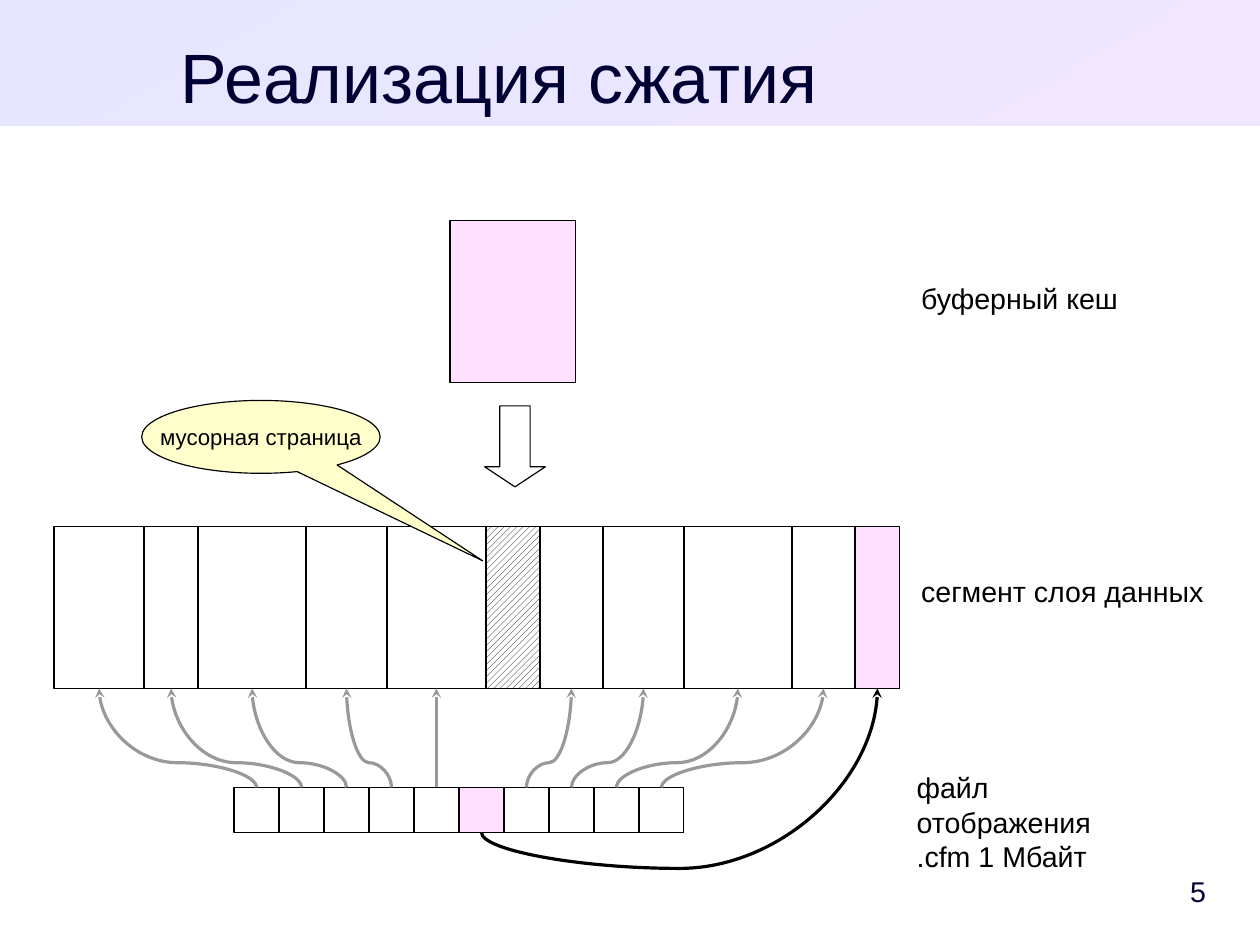
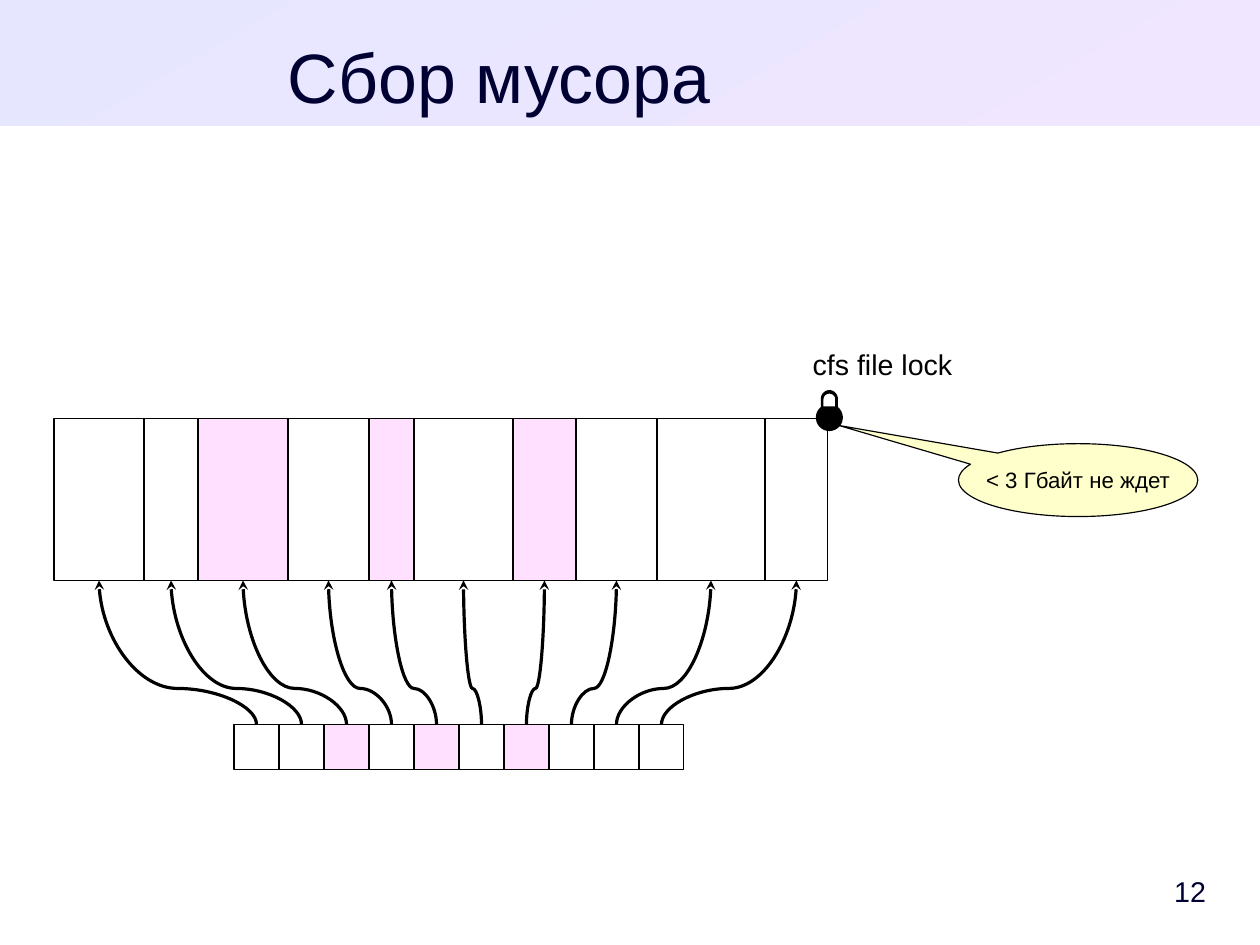
from math import cos, radians, sin

from lxml import etree
from pptx import Presentation
from pptx.dml.color import RGBColor
from pptx.enum.dml import MSO_PATTERN
from pptx.enum.shapes import MSO_CONNECTOR, MSO_SHAPE
from pptx.enum.text import MSO_ANCHOR, PP_ALIGN
from pptx.oxml.ns import qn
from pptx.util import Cm, Pt

WHITE = RGBColor(0xFF, 0xFF, 0xFF)
BLACK = RGBColor(0x00, 0x00, 0x00)
GREY = RGBColor(0x99, 0x99, 0x99)
NAVY = RGBColor(0x00, 0x00, 0x33)
PINK = RGBColor(0xFF, 0xE1, 0xFF)
CREAM = RGBColor(0xFF, 0xFF, 0xCC)
BLUE = RGBColor(0xE6, 0xE6, 0xFF)
LILAC = RGBColor(0xF0, 0xE6, 0xFF)

RECT = MSO_SHAPE.RECTANGLE
ARROW = MSO_SHAPE.DOWN_ARROW
BUBBLE = MSO_SHAPE.OVAL_CALLOUT
CURVE = MSO_CONNECTOR.CURVE
HATCH = MSO_PATTERN.WIDE_UPWARD_DIAGONAL
TOP, MIDDLE = MSO_ANCHOR.TOP, MSO_ANCHOR.MIDDLE
LEFT, CENTER, RIGHT = PP_ALIGN.LEFT, PP_ALIGN.CENTER, PP_ALIGN.RIGHT

FONT = "Arial"
WIDE, HIGH = 28, 21
EDGE = 1.2
BLOCK = 3.6
CELL, COUNT, FIRST = 1, 10, 5.2
PAD = (0.25, 0.13, 0.25, 0.13)


def write(shape, text, size, color=BLACK, align=LEFT, anchor=TOP, pad=PAD, wrap=False):
    frame = shape.text_frame
    frame.word_wrap = wrap
    frame.vertical_anchor = anchor
    (frame.margin_left, frame.margin_top,
     frame.margin_right, frame.margin_bottom) = [Cm(v) for v in pad]
    para = frame.paragraphs[0]
    para.alignment = align
    for n, line in enumerate(text.split("\n")):
        if n:
            para.add_line_break()
        run = para.add_run()
        run.text = line
        run.font.name = FONT
        run.font.size = Pt(size)
        run.font.color.rgb = color


def label(slide, box, text, size=18, **style):
    write(slide.shapes.add_textbox(*[Cm(v) for v in box]), text, size, **style)


def draw(slide, kind, box, fill=WHITE, adj=()):
    shape = slide.shapes.add_shape(kind, *[Cm(v) for v in box])
    shape.shadow.inherit = False
    shape.fill.solid()
    shape.fill.fore_color.rgb = fill
    shape.line.color.rgb = BLACK
    shape.line.width = Pt(0)
    for n, value in enumerate(adj):
        shape.adjustments[n] = value
    return shape


def frame(deck, title, number):
    slide = deck.slides.add_slide(deck.slide_layouts[6])
    band = draw(slide, RECT, (0, 0, WIDE, 2.8))
    band.line.fill.background()
    band.fill.gradient()
    band.fill.gradient_angle = 300
    for stop, color in zip(band.fill.gradient_stops, (BLUE, LILAC)):
        stop.color.rgb = color
    label(slide, (24.6, 19.2, 2.2, 1.2), number, color=NAVY, align=RIGHT,
          anchor=MIDDLE, pad=(0.25, 0.13, 0, 0.13), wrap=True)
    label(slide, (EDGE, 0.74, 19.8, 1.75), title, 44, color=NAVY,
          align=CENTER, pad=(0, 0, 0, 0), wrap=True)
    return slide


def row(slide, left, top, high, sizes, pink=(), hatch=()):
    mids = []
    for n, size in enumerate(sizes):
        fill = PINK if n in pink else WHITE
        shape = draw(slide, RECT, (left, top, size, high), fill)
        if n in hatch:
            shape.fill.patterned()
            shape.fill.pattern = HATCH
            shape.fill.fore_color.rgb = BLACK
            shape.fill.back_color.rgb = WHITE
        mids.append(left + size / 2)
        left += size
    return mids


def cells(slide, top, pink):
    return row(slide, FIRST, top, CELL, [CELL] * COUNT, pink)


def link(slide, start, end, color, bend=0.25):
    (ax, ay), (bx, by) = start, end
    run, rise = abs(bx - ax), ay - by
    left, top = (ax + bx - rise) / 2, (ay + by - run) / 2
    line = slide.shapes.add_connector(
        CURVE, Cm(left), Cm(top), Cm(left + rise), Cm(top + run))
    line.line.color.rgb = color
    line.line.width = Pt(0)
    props = line._element.spPr
    turn = {"rot": "16200000", "flipV": "1"}
    if bx >= ax:
        turn = {"rot": "5400000", "flipH": "1", "flipV": "1"}
    for key, value in turn.items():
        props.find(qn("a:xfrm")).set(key, value)
    guides = props.find(qn("a:prstGeom")).get_or_add_avLst()
    etree.SubElement(guides, qn("a:gd"), name="adj1",
                     fmla=f"val {round(bend * 100000)}")
    etree.SubElement(props.find(qn("a:ln")), qn("a:tailEnd"), type="stealth")
    etree.SubElement(props, qn("a:effectLst"))


def bubble(slide, box, text, tip):
    shape = draw(slide, BUBBLE, box, CREAM, tip)
    write(shape, text, 14, align=CENTER, anchor=MIDDLE)


def arc(x, y, wide, high, start, end, steps=24):
    turns = [radians(start + (end - start) * n / steps) for n in range(steps + 1)]
    return [(x + wide * cos(t), y + high * sin(t)) for t in turns]


def lock(slide, x, y):
    body = arc(x, y, 0.3, 0.3, -51, 231)
    bow = arc(x, y - 0.41, 0.19, 0.2, 180, 360)
    hole = arc(x, y - 0.41, 0.13, 0.12, 180, 360)
    hole += [(x + 0.13, y - 0.25), (x - 0.13, y - 0.25)]
    outer, inner = [[(Cm(a), Cm(b)) for a, b in part] for part in (body + bow, hole)]
    pen = slide.shapes.build_freeform(*outer[0])
    pen.add_line_segments(outer[1:], close=True)
    pen.move_to(*inner[0])
    pen.add_line_segments(inner[1:], close=True)
    shape = pen.convert_to_shape()
    shape.shadow.inherit = False
    shape.fill.solid()
    shape.fill.fore_color.rgb = BLACK
    shape.line.fill.background()


def pack(deck):
    slide = frame(deck, "Реализация сжатия", "5")
    top, low, moved = 11.7, 17.5, 5
    sizes = (2, 1.2, 2.4, 1.8, 2.2, 1.2, 1.4, 1.8, 2.4, 1.4, 1)
    blocks = row(slide, EDGE, top, BLOCK, sizes, pink=[10], hatch=[moved])
    draw(slide, RECT, (10, 4.9, 2.8, BLOCK), PINK)
    maps = cells(slide, low, [moved])
    base = top + BLOCK
    for n, (cell, block) in enumerate(zip(maps, blocks)):
        if n != moved:
            link(slide, (cell, low), (block, base), GREY)
    draw(slide, ARROW, (10.77, 9.02, 1.35, 1.8), adj=(0.5, 0.33))
    link(slide, (maps[moved], low + CELL), (blocks[-1], base), BLACK, -0.25)
    bubble(slide, (3.15, 8.9, 5.3, 1.62), "мусорная страница", (0.93, 1.7))
    label(slide, (20.22, 6.12, 4.88, 0.97), "буферный кеш")
    label(slide, (20.22, 12.62, 6.78, 1.68), "сегмент слоя данных")
    label(slide, (20.12, 16.99, 6.15, 1.68), "файл отображения\n.cfm 1 Мбайт")


def clean(deck):
    slide = frame(deck, "Сбор мусора", "12")
    top, low, live = 9.3, 16.1, (2, 4, 6)
    sizes = (2, 1.2, 2, 1.8, 1, 2.2, 1.4, 1.8, 2.4, 1.4)
    blocks = row(slide, EDGE, top, BLOCK, sizes, live)
    for cell, block in zip(cells(slide, low, live), blocks):
        link(slide, (cell, low), (block, top + BLOCK), BLACK)
    label(slide, (17.81, 7.59, 3.61, 0.97), "cfs file lock")
    lock(slide, EDGE + sum(sizes) + 0.03, top - 0.02)
    bubble(slide, (21.3, 9.86, 5.32, 1.62), "< 3 Гбайт не ждет", (-1, -0.75))


def main():
    deck = Presentation()
    deck.slide_width, deck.slide_height = Cm(WIDE), Cm(HIGH)
    pack(deck)
    clean(deck)
    deck.save("out.pptx")


if __name__ == "__main__":
    main()
